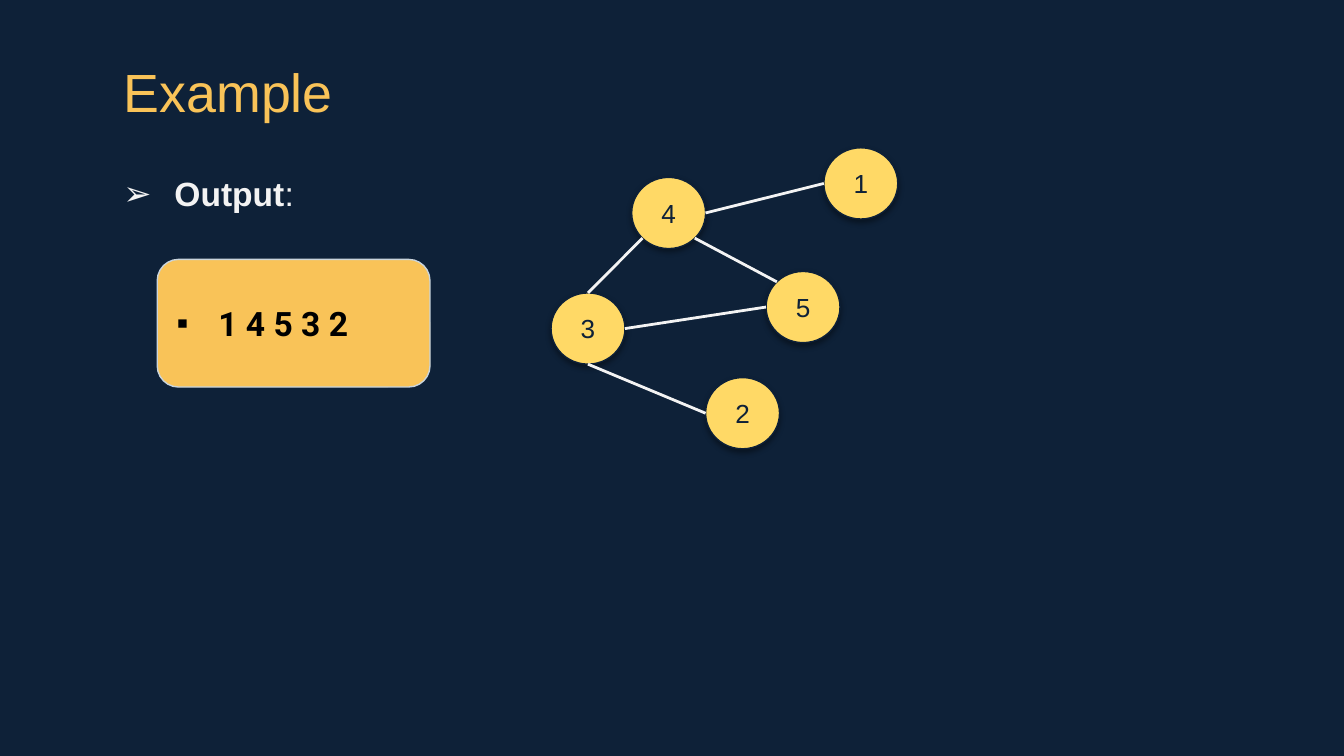
from math import cos, radians, sin

from pptx import Presentation
from pptx.dml.color import RGBColor
from pptx.enum import shapes, text
from pptx.oxml import parse_xml
from pptx.oxml.ns import nsdecls, qn
from pptx.util import Emu, Inches, Pt

NAVY = RGBColor(0x0E, 0x21, 0x38)
NODE_EDGE = RGBColor(0x0D, 0x20, 0x38)
AMBER = RGBColor(0xF9, 0xC3, 0x58)
YELLOW = RGBColor(0xFF, 0xD9, 0x66)
OFF_WHITE = RGBColor(0xF3, 0xF3, 0xF3)
PALE_BLUE = RGBColor(0xC9, 0xD4, 0xDC)
BLACK = RGBColor(0, 0, 0)

NODE_WIDTH, NODE_HEIGHT = 0.55, 0.53
NODES = {"1": (2.03, 0), "4": (0.6, 0.22), "3": (0, 1.08), "5": (1.6, 0.92), "2": (1.15, 1.71)}
RIGHT, BOTTOM_RIGHT, BOTTOM, BOTTOM_LEFT, LEFT, TOP_LEFT, TOP = 0, 45, 90, 135, 180, 225, 270
EDGES = [
    ("4", BOTTOM_LEFT, "3", TOP),
    ("4", BOTTOM_RIGHT, "5", TOP_LEFT),
    ("4", RIGHT, "1", LEFT),
    ("3", RIGHT, "5", LEFT),
    ("3", BOTTOM, "2", LEFT),
]


def style_run(run, size, color, bold=False, font="Arial"):
    """Format one run of text."""
    run.font.name, run.font.size, run.font.bold = font, Pt(size), bold
    run.font.color.rgb = color


def set_insets(frame, inset=0.1):
    """Give a wrapping text frame equal insets."""
    frame.word_wrap = True
    frame.margin_left = frame.margin_top = Inches(inset)
    frame.margin_right = frame.margin_bottom = Inches(inset)


def add_bullet(paragraph, symbol, color, indent):
    """Give a paragraph a coloured bullet and a hanging indent."""
    properties = paragraph._p.get_or_add_pPr()
    properties.set("marL", str(Inches(indent)))
    properties.set("indent", str(-Inches(indent)))
    for bullet_part in (
        f'<a:buClr {nsdecls("a")}><a:srgbClr val="{color}"/></a:buClr>',
        f'<a:buFont {nsdecls("a")} typeface="Arial"/>',
        f'<a:buChar {nsdecls("a")} char="{symbol}"/>',
    ):
        properties.append(parse_xml(bullet_part))


def add_soft_shadow(shape):
    """Give a shape a short downward shadow."""
    shape.shadow.inherit = False
    shape._element.spPr.find(qn("a:effectLst")).append(parse_xml(
        f'<a:outerShdw {nsdecls("a")} blurRad="{Pt(3.1)}" dist="{Pt(1.6)}" dir="5400000" '
        'rotWithShape="0"><a:srgbClr val="000000"><a:alpha val="38000"/></a:srgbClr>'
        '</a:outerShdw>'))


def place_title(slide, left, top, width, height):
    """Move and format the title placeholder."""
    title = slide.shapes.title
    title.left, title.top = Inches(left), Inches(top)
    title.width, title.height = Inches(width), Inches(height)
    frame = title.text_frame
    frame.text = "Example"
    set_insets(frame)
    frame.vertical_anchor = text.MSO_ANCHOR.TOP
    frame.auto_size = text.MSO_AUTO_SIZE.NONE
    heading = frame.paragraphs[0]
    heading.alignment = text.PP_ALIGN.LEFT
    style_run(heading.runs[0], 28.8, AMBER)


def add_output_heading(slide, left, top, width, height):
    """Write the bulleted heading of the result."""
    body = slide.shapes.add_textbox(Inches(left), Inches(top), Inches(width), Inches(height))
    set_insets(body.text_frame)
    heading = body.text_frame.paragraphs[0]
    heading.line_spacing, heading.space_after = 1.1, Pt(12)
    for words, bold in (("Output", True), (":", False)):
        run = heading.add_run()
        run.text = words
        style_run(run, 18, OFF_WHITE, bold)
    add_bullet(heading, "➢", OFF_WHITE, 0.38)


def add_output_card(slide, left, top, width, height):
    """Draw the rounded card with the resulting order."""
    card = slide.shapes.add_shape(
        shapes.MSO_SHAPE.ROUNDED_RECTANGLE,
        Inches(left), Inches(top), Inches(width), Inches(height))
    card.shadow.inherit = False
    card.fill.solid()
    card.fill.fore_color.rgb = AMBER
    card.line.color.rgb, card.line.width = PALE_BLUE, Pt(0.75)
    frame = card.text_frame
    frame.text = "1 4 5 3 2"
    set_insets(frame)
    frame.vertical_anchor = text.MSO_ANCHOR.MIDDLE
    order = frame.paragraphs[0]
    order.alignment = text.PP_ALIGN.LEFT
    style_run(order.runs[0], 18, BLACK, True, "Roboto")
    add_bullet(order, "▪", BLACK, 0.31)


def add_node(slide, label, left, top):
    """Draw one labelled node of the graph."""
    node = slide.shapes.add_shape(
        shapes.MSO_SHAPE.OVAL,
        Inches(left), Inches(top), Inches(NODE_WIDTH), Inches(NODE_HEIGHT))
    add_soft_shadow(node)
    node.fill.solid()
    node.fill.fore_color.rgb = YELLOW
    node.line.color.rgb, node.line.width = NODE_EDGE, Pt(0.75)
    node.text_frame.text = label
    node.text_frame.vertical_anchor = text.MSO_ANCHOR.MIDDLE
    number = node.text_frame.paragraphs[0]
    number.alignment = text.PP_ALIGN.CENTER
    style_run(number.runs[0], 14, NAVY)
    return node


def rim_point(node, angle):
    """Return the point on a node's rim at a clockwise angle from the right."""
    x = node.left + node.width / 2 * (1 + cos(radians(angle)))
    y = node.top + node.height / 2 * (1 + sin(radians(angle)))
    return Emu(round(x)), Emu(round(y))


def add_graph(slide, left, top):
    """Draw the nodes and the edges between them."""
    nodes = {label: add_node(slide, label, left + x, top + y) for label, (x, y) in NODES.items()}
    for start, start_angle, end, end_angle in EDGES:
        edge = slide.shapes.add_connector(
            shapes.MSO_CONNECTOR.STRAIGHT,
            *rim_point(nodes[start], start_angle), *rim_point(nodes[end], end_angle))
        edge.line.color.rgb, edge.line.width = OFF_WHITE, Pt(1.5)
        edge._element.spPr.append(parse_xml(f'<a:effectLst {nsdecls("a")}/>'))


def main():
    """Build and save the slide."""
    deck = Presentation()
    deck.slide_width = Inches(10)
    deck.slide_height = deck.slide_width * 9 // 16
    slide = deck.slides.add_slide(deck.slide_layouts[5])
    slide.background.fill.solid()
    slide.background.fill.fore_color.rgb = NAVY
    place_title(slide, 0.82, 0.34, 4.98, 0.61)
    add_output_heading(slide, 0.82, 1.16, 8.36, 4.01)
    add_output_card(slide, 1.17, 1.93, 2.03, 0.95)
    add_graph(slide, 4.1, 1.1)
    deck.save("out.pptx")


if __name__ == "__main__":
    main()
